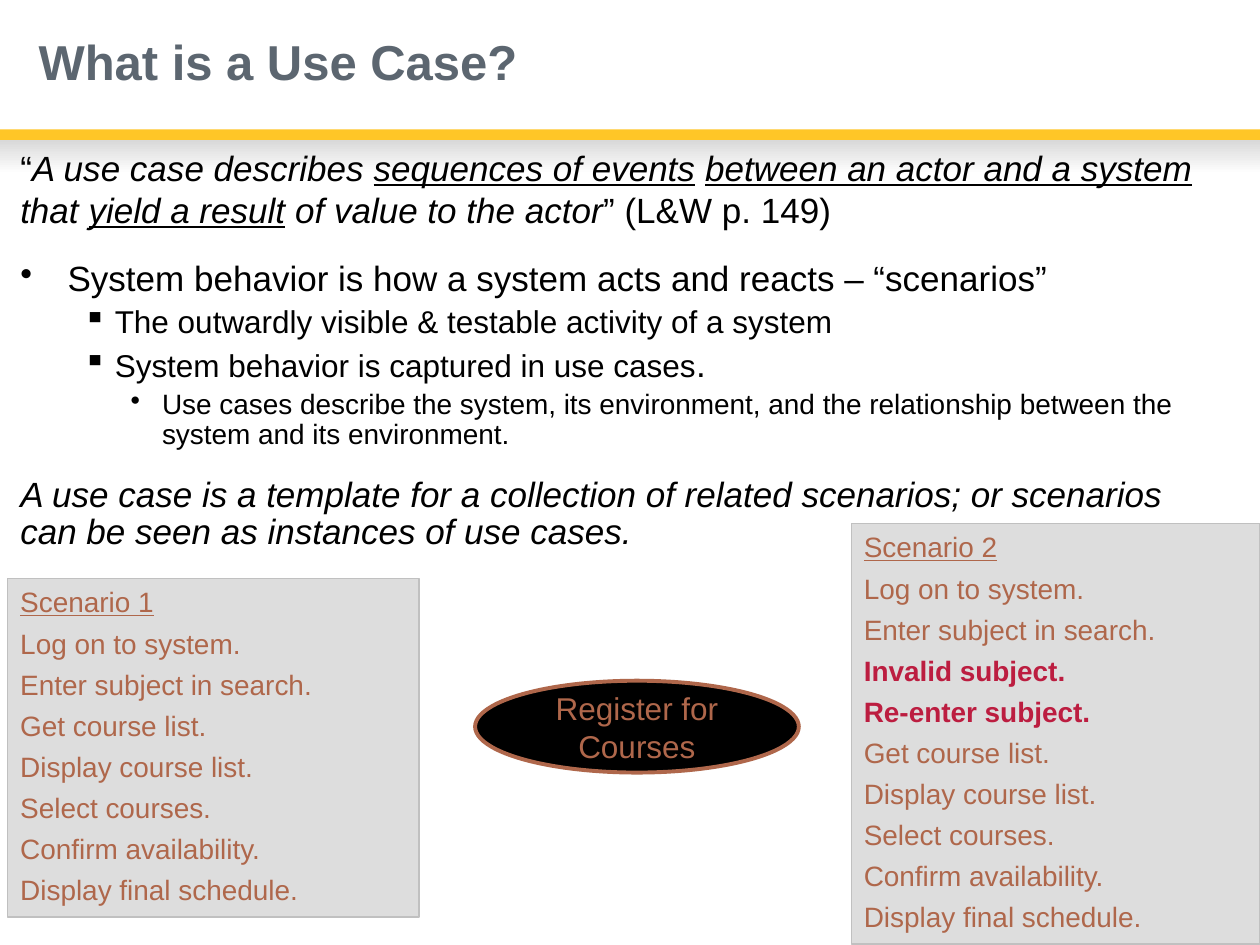
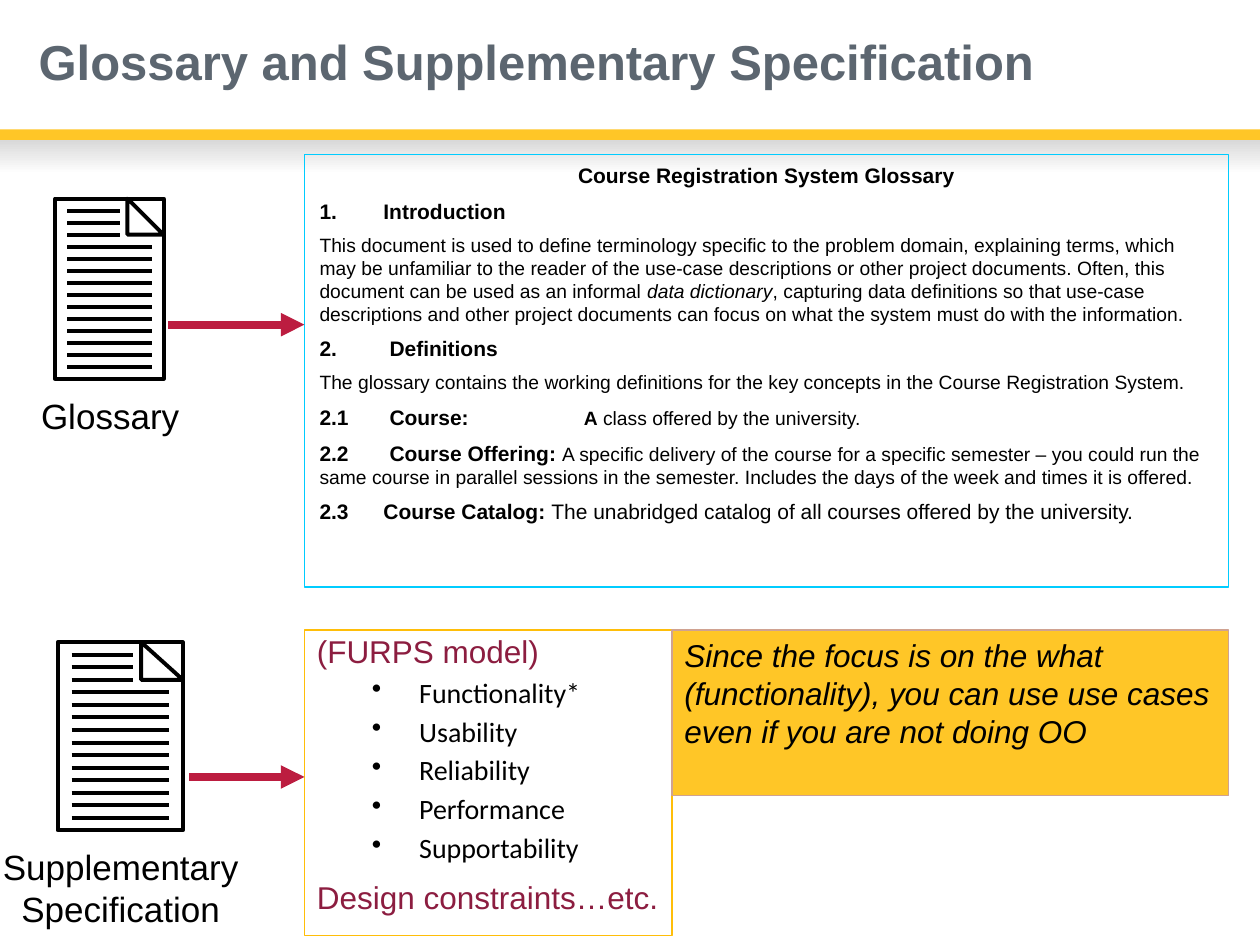
from lxml.etree import SubElement
from pptx import Presentation
from pptx.dml.color import RGBColor
from pptx.enum.shapes import MSO_CONNECTOR, MSO_SHAPE
from pptx.enum.text import MSO_ANCHOR, PP_ALIGN
from pptx.oxml.ns import qn
from pptx.util import Pt

COLORS = {
    "black": "000000", "white": "FFFFFF", "title": "5C6670", "gold": "FFC627",
    "shade": "D9D9D9", "card": "DDDDDD", "card_edge": "C0C0C0", "copper": "AF674B",
    "crimson": "BC1D40", "maroon": "8C1D40", "cyan": "00CCFF",
    "model_edge": "FFBE09", "remark_edge": "D0A291",
}
SLIDE_WIDTH, SLIDE_HEIGHT = 720, 540
BAND_TOP, BAND_HEIGHT, SHADE_HEIGHT = 74, 6, 19.5

BOLD, ITALIC, PLAIN = {"bold": True}, {"italic": True}, {}
UNDERLINED = {"italic": True, "underline": True}

# A paragraph is (spans, layout); spans are one string or a list of (text, style).
DEFINITION = [
    ([("“", PLAIN), ("A use case describes ", ITALIC), ("sequences of events", UNDERLINED),
      (" ", ITALIC), ("between an actor and a system", UNDERLINED), (" that ", ITALIC),
      ("yield a result", UNDERLINED), (" of value to the actor", ITALIC),
      ("” (L&W p. 149)", PLAIN)], {}),
    ("System behavior is how a system acts and reacts – “scenarios”",
     dict(bullet="•", margin=27, hang=27, spacing=0.9, before=18)),
    ([("The outwardly visible & testable activity of a system", {"size": 18})],
     dict(bullet="▪", margin=54, hang=18, spacing=0.9, before=3.6)),
    ([("System behavior is captured in use cases", {"size": 18}), (".", PLAIN)],
     dict(bullet="▪", margin=54, hang=18, spacing=0.9, before=4)),
    ([("Use cases describe the system, its environment, and the relationship between the "
       "system and its environment.", {"size": 16})],
     dict(bullet="•", margin=81, hang=18, spacing=0.9, before=3.2)),
    ([("A use case is a template for a collection of related scenarios; or scenarios "
       "can be seen as instances of use cases.", ITALIC)], dict(spacing=0.9, before=15)),
]

FIRST_STEPS = ["Log on to system.", "Enter subject in search."]
RETRY_STEPS = ["Invalid subject.", "Re-enter subject."]
LAST_STEPS = ["Get course list.", "Display course list.", "Select courses.",
              "Confirm availability.", "Display final schedule."]
SCENARIOS = [  # heading, steps, left, top, width, height
    ("Scenario 1", FIRST_STEPS + LAST_STEPS, 4.5, 330.5, 235, 193.5),
    ("Scenario 2", FIRST_STEPS + RETRY_STEPS + LAST_STEPS, 486.5, 299, 233.5, 240.5),
]

HEAD = {"bold": True, "size": 12}
ENTRY = dict(before=6, tabs=[40])
GLOSSARY = [
    ([("Course Registration System Glossary", HEAD)], dict(align=PP_ALIGN.CENTER)),
    ([("1.\tIntroduction", HEAD)], dict(before=6, tabs=[36.5])),
    ([("This document is used to define terminology specific to the problem domain, explaining "
       "terms, which may be unfamiliar to the reader of the use-case descriptions or other "
       "project documents. Often, this document can be used as an informal ", PLAIN),
      ("data dictionary", ITALIC),
      (", capturing data definitions so that use-case descriptions and other project documents "
       "can focus on what the system must do with the information.", PLAIN)], dict(before=5.5)),
    ([("2.\tDefinitions", HEAD)], ENTRY),
    ("The glossary contains the working definitions for the key concepts in the Course "
     "Registration System.", dict(before=5.5)),
    ([("2.1\tCourse:\t", HEAD), ("A", BOLD), (" class offered by the university.", PLAIN)],
     dict(before=6, tabs=[40, 151])),
    ([("2.2\tCourse Offering: ", HEAD),
      ("A specific delivery of the course for a specific semester – you could run the same "
       "course in parallel sessions in the semester. Includes the days of the week and times "
       "it is offered.", PLAIN)], ENTRY),
    ([("2.3\tCourse Catalog: ", HEAD),
      ("The unabridged catalog of all courses offered by the university.", {"size": 12})],
     dict(before=6, tabs=[36.5])),
]

QUALITIES = ["Functionality*", "Usability", "Reliability", "Performance", "Supportability"]
REMARK = ["Since the focus is on the what", "(functionality), you can use use cases",
          "even if you are not doing OO"]
DOCUMENTS = [  # label lines, label area, page area, arrow start and height
    (["Glossary"], (16, 222, 94, 31.5), (31.5, 113.5, 62, 103), (96, 185.5)),
    (["Supplementary", "Specification"], (0, 479.5, 138, 55.5), (33, 367, 71.5, 107.5),
     (108, 444)),
]
PANEL_LEFT = 174


def color(name):
    return RGBColor.from_string(COLORS[name])


def format_paragraph(para, align=PP_ALIGN.LEFT, spacing=1.0, before=0, bullet=None,
                     margin=0, hang=0, tabs=()):
    para.alignment = align
    para.line_spacing = spacing
    para.space_before = Pt(before)
    properties = para._p.get_or_add_pPr()
    if bullet:
        properties.set("marL", str(Pt(margin)))
        properties.set("indent", str(-Pt(hang)))
        bullet_color = SubElement(properties, qn("a:buClr"))
        SubElement(bullet_color, qn("a:srgbClr"), val=COLORS["black"])
        SubElement(properties, qn("a:buChar"), char=bullet)
    if tabs:
        tab_list = SubElement(properties, qn("a:tabLst"))
        for position in tabs:
            SubElement(tab_list, qn("a:tab"), pos=str(Pt(position)), algn="l")


def write(box, paragraphs, size, ink="black", inset=(7.2, 3.6), anchor=MSO_ANCHOR.TOP):
    """Fill a box with paragraphs; size and ink hold where a span sets no other."""
    frame = box.text_frame
    frame.word_wrap = True
    frame.vertical_anchor = anchor
    frame.margin_left = frame.margin_right = Pt(inset[0])
    frame.margin_top = frame.margin_bottom = Pt(inset[1])
    for index, (spans, layout) in enumerate(paragraphs):
        para = frame.add_paragraph() if index else frame.paragraphs[0]
        format_paragraph(para, **layout)
        for text, style in [(spans, PLAIN)] if isinstance(spans, str) else spans:
            span = para.add_run()
            span.text = text
            font = span.font
            font.name = style.get("font", "Arial")
            font.size = Pt(style.get("size", size))
            font.color.rgb = color(style.get("ink", ink))
            font.bold = style.get("bold", False)
            font.italic = style.get("italic", False)
            font.underline = style.get("underline", False)


def paint(shape, fill=None, edge=None, weight=0.75):
    shape.shadow.inherit = False
    if fill:
        shape.fill.solid()
        shape.fill.fore_color.rgb = color(fill)
    else:
        shape.fill.background()
    if edge:
        shape.line.color.rgb = color(edge)
        shape.line.width = Pt(weight)
    else:
        shape.line.fill.background()
    return shape


def add_box(page, area, fill=None, edge=None, weight=0.75, kind=MSO_SHAPE.RECTANGLE):
    return paint(page.shapes.add_shape(kind, *map(Pt, area)), fill, edge, weight)


def add_text(page, area, paragraphs, size, **options):
    write(page.shapes.add_textbox(*map(Pt, area)), paragraphs, size, **options)


def add_line(page, start, end, ink, weight, arrow=False):
    line = page.shapes.add_connector(MSO_CONNECTOR.STRAIGHT, *map(Pt, start + end))
    line.line.color.rgb = color(ink)
    line.line.width = Pt(weight)
    if arrow:
        SubElement(line.line._get_or_add_ln(), qn("a:tailEnd"), type="triangle")
    SubElement(line._element.spPr, qn("a:effectLst"))


def add_page(deck, title):
    """Add a slide with the gold band, the shade under it and the title."""
    page = deck.slides.add_slide(deck.slide_layouts[6])
    shade = add_box(page, (0, BAND_TOP + BAND_HEIGHT, SLIDE_WIDTH, SHADE_HEIGHT))
    shade.fill.gradient()
    shade.fill.gradient_angle = 270
    for stop, name in zip(shade.fill.gradient_stops, ("shade", "white")):
        stop.color.rgb = color(name)
    add_box(page, (0, BAND_TOP, SLIDE_WIDTH, BAND_HEIGHT), "gold")
    add_text(page, (15, 0, 685.5, 73.5), [([(title, BOLD)], dict(spacing=0.9))], 28,
             ink="title", anchor=MSO_ANCHOR.MIDDLE)
    return page


def add_document_icon(page, left, top, width, height):
    """Draw a page with a folded corner, three short lines and eleven long ones."""
    add_box(page, (left, top, width, height), edge="black", weight=2.25)
    step = height / 15
    fold_left, fold_bottom = left + width * 2 / 3, top + 3 * step
    outline = page.shapes.build_freeform(Pt(fold_left), Pt(top))
    outline.add_line_segments([(Pt(left + width), Pt(fold_bottom)),
                               (Pt(fold_left), Pt(fold_bottom))], close=True)
    paint(outline.convert_to_shape(), edge="black", weight=2.25)
    for row in range(1, 15):
        y = top + row * step
        reach = 0.6 if row <= 3 else 8 / 9
        add_line(page, (left + width / 9, y), (left + width * reach, y), "black", 2.25)


def build_use_case_page(deck):
    page = add_page(deck, "What is a Use Case?")
    add_text(page, (4.5, 80, 696, 450), DEFINITION, 20)
    for heading, steps, *area in SCENARIOS:
        paragraphs = [([(heading, {"underline": True})], {})]
        for step in steps:
            style = {"bold": True, "ink": "crimson"} if step in RETRY_STEPS else PLAIN
            paragraphs.append(([(step, style)], dict(spacing=0.7, before=10)))
        write(add_box(page, area, "card", "card_edge"), paragraphs, 16, ink="copper")
    use_case = add_box(page, (271.5, 389, 185, 52.5), "black", "copper", 2.25, MSO_SHAPE.OVAL)
    write(use_case, [("Register for Courses", dict(align=PP_ALIGN.CENTER))], 18,
          ink="copper", inset=(8.6, 4.3), anchor=MSO_ANCHOR.MIDDLE)


def build_glossary_page(deck):
    page = add_page(deck, "Glossary and Supplementary Specification")

    model = add_box(page, (PANEL_LEFT, 360, 210, 174.5), edge="model_edge")
    quality_layout = dict(bullet="•", margin=58.5, hang=27, spacing=0.9, before=5)
    quality_style = {"font": "Calibri", "size": 16, "ink": "black"}
    write(model, [("(FURPS model)", dict(spacing=0.9)),
                  *[([(quality, quality_style)], quality_layout) for quality in QUALITIES],
                  ("Design constraints…etc.", dict(spacing=0.9, before=10))],
          18, ink="maroon")

    glossary = add_box(page, (PANEL_LEFT, 88.5, 528, 247), edge="cyan")
    write(glossary, GLOSSARY, 11, inset=(8.6, 4.3))

    remark = add_box(page, (384, 360, 318, 94.5), "gold", "remark_edge")
    write(remark, [([(line, ITALIC)], {}) for line in REMARK], 18)

    for label, label_area, page_area, (arrow_left, arrow_y) in DOCUMENTS:
        add_line(page, (arrow_left, arrow_y), (PANEL_LEFT, arrow_y), "crimson", 4.5, arrow=True)
        add_document_icon(page, *page_area)
        add_text(page, label_area, [(line, dict(align=PP_ALIGN.CENTER)) for line in label],
                 20, inset=(0, 3.6))


def main():
    deck = Presentation()
    deck.slide_width, deck.slide_height = Pt(SLIDE_WIDTH), Pt(SLIDE_HEIGHT)
    build_use_case_page(deck)
    build_glossary_page(deck)
    deck.save("out.pptx")


if __name__ == "__main__":
    main()
